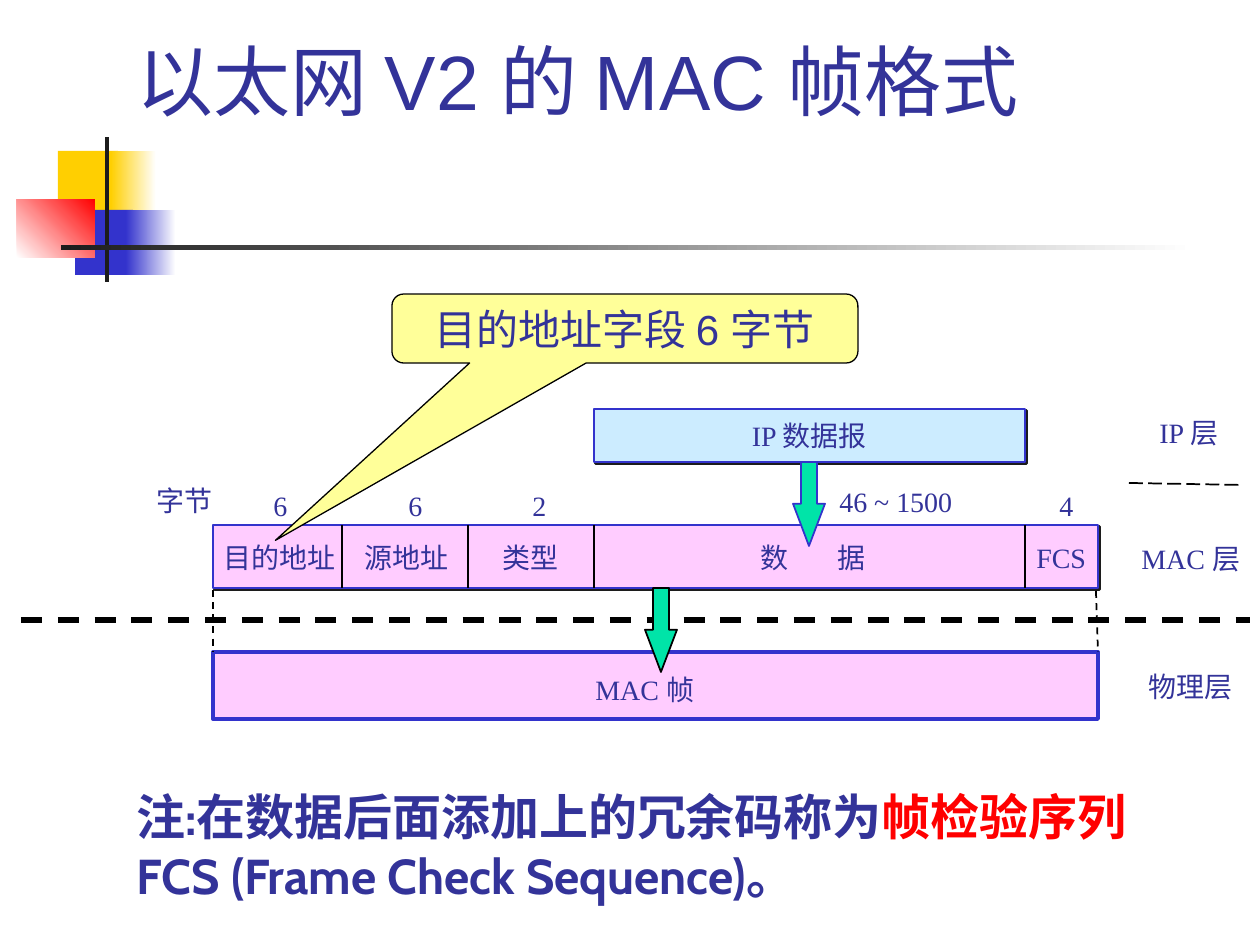
"""Build the slide on the Ethernet V2 MAC frame format."""
from lxml import etree
from pptx import Presentation
from pptx.dml.color import RGBColor
from pptx.enum.dml import MSO_LINE
from pptx.enum.shapes import MSO_CONNECTOR, MSO_SHAPE
from pptx.enum.text import MSO_ANCHOR, MSO_AUTO_SIZE, PP_ALIGN
from pptx.oxml import parse_xml
from pptx.oxml.ns import nsdecls, qn
from pptx.util import Pt

PX = 914400 / 126
C = {
    "text": "333399", "red": "FF0000", "white": "FFFFFF", "black": "000000",
    "gold": "FFCF01", "blue": "3333CC", "dark": "1C1C1C", "pink": "FFCCFF",
    "sky": "CCECFF", "green": "00E4A8", "yellow": "FFFF99",
}

prs = Presentation()
prs.slide_width, prs.slide_height = round(1260 * PX), round(945 * PX)
s = prs.slides.add_slide(prs.slide_layouts[6])


def add_box(kind, box, fill, line=None, width=1, angle=0):
    sp = s.shapes.add_shape(kind, *[round(v * PX) for v in box])
    sp.shadow.inherit = False
    if isinstance(fill, tuple):
        sp.fill.gradient()
        sp.fill.gradient_angle = angle
        for stop, name in zip(sp.fill.gradient_stops, fill):
            stop.color.rgb = RGBColor.from_string(C[name])
    else:
        sp.fill.solid()
        sp.fill.fore_color.rgb = RGBColor.from_string(C[fill])
    if line:
        sp.line.color.rgb = RGBColor.from_string(C[line])
        sp.line.width = Pt(width)
    else:
        sp.line.fill.background()
    return sp


def add_text(text, sp=None, box=None, size=16, font="Times New Roman", bold=False,
             align=PP_ALIGN.LEFT, anchor=MSO_ANCHOR.TOP, right=13, before=0):
    sp = sp or s.shapes.add_textbox(*[round(v * PX) for v in box])
    tf = sp.text_frame
    tf.word_wrap = True
    tf.auto_size = MSO_AUTO_SIZE.NONE
    tf.vertical_anchor = anchor
    tf.margin_right = round(right * PX)
    p = tf.paragraphs[0]
    p.alignment = align
    p.space_before = Pt(before)
    for part, color in [(text, "text")] if isinstance(text, str) else text:
        r = p.add_run()
        r.text = part
        r.font.size = Pt(size)
        r.font.name = font
        r.font.bold = bold
        r.font.color.rgb = RGBColor.from_string(C[color])
    return sp


for box, fill, angle in [
    ((58, 151, 60, 66), "gold", 0),
    ((111, 151, 45, 66), ("gold", "white"), 0),
    ((75, 210, 58, 65), "blue", 0),
    ((126, 210, 50, 65), ("blue", "white"), 0),
    ((17, 199, 78, 59), ("white", "red"), 45),
    ((105, 137, 4, 145), "dark", 0),
    ((61, 245, 1134, 5), ("dark", "white"), 0),
]:
    add_box(MSO_SHAPE.RECTANGLE, box, fill, angle=angle)

add_box(MSO_SHAPE.RECTANGLE, (213, 652, 885, 67), "pink", "blue", 2.25)
frame = add_box(MSO_SHAPE.RECTANGLE, (213, 525, 885, 63), "pink", "blue", 1.5)
packet = add_box(MSO_SHAPE.RECTANGLE, (594, 409, 431, 53), "sky", "blue", 1.5)
add_text("IP 数据报", packet, align=PP_ALIGN.CENTER, anchor=MSO_ANCHOR.MIDDLE)
for sp in (frame, packet):
    effects = sp._element.spPr.find(qn("a:effectLst"))
    effects.append(parse_xml(
        f'<a:outerShdw {nsdecls("a")} blurRad="0" dist="17780" dir="2700000" algn="ctr" '
        f'rotWithShape="0"><a:srgbClr val="{C["dark"]}"/></a:outerShdw>'))

dividers = [(x, 525, x, 588, 1, None) for x in (342, 468, 594, 1025)]
for x1, y1, x2, y2, width, dash in dividers + [
    (21, 620, 1250, 620, 3, MSO_LINE.DASH),
    (213, 590, 213, 652, 1, MSO_LINE.DASH),
    (1096, 591, 1098, 652, 1, MSO_LINE.DASH),
    (1129, 483, 1242, 485, 1, MSO_LINE.LONG_DASH),
]:
    ln = s.shapes.add_connector(
        MSO_CONNECTOR.STRAIGHT, *[round(v * PX) for v in (x1, y1, x2, y2)])
    ln.line.color.rgb = RGBColor.from_string(C["black"])
    ln.line.width = Pt(width)
    if dash:
        ln.line.dash_style = dash
    etree.SubElement(ln._element.spPr, qn("a:effectLst"))

for x, y, line in [(645, 588, "black"), (793, 462, "blue")]:
    arrow = add_box(MSO_SHAPE.DOWN_ARROW, (x, y, 32, 84), "green", line)
    arrow.adjustments[0], arrow.adjustments[1] = 0.5, 1.32

for text, x, y, w in [
    ("MAC 帧", 583, 666, 130), ("物理层", 1136, 663, 108),
    ("MAC 层", 1129, 535, 130), ("IP 层", 1147, 409, 92),
    ("目的地址", 211, 534, 137), ("源地址", 352, 534, 108),
    ("类型", 490, 534, 81), ("FCS", 1024, 534, 74),
    ("6", 261, 482, 39), ("6", 396, 482, 39), ("2", 520, 482, 39), ("4", 1047, 482, 39),
    ("字节", 144, 477, 81), ("46 ~ 1500", 827, 478, 137),
]:
    add_text(text, box=(x, y, w, 45), right=0)

data = add_text("数\t据", box=(748, 534, 131, 45), right=0)
pPr = data.text_frame.paragraphs[0]._p.get_or_add_pPr()
tabs = etree.SubElement(pPr, qn("a:tabLst"))
etree.SubElement(tabs, qn("a:tab"), pos=str(round(77 * PX)), algn="l")

add_text("以太网 V2 的 MAC 帧格式", box=(124, 26, 1074, 106), size=44, font="Arial",
         anchor=MSO_ANCHOR.BOTTOM)

callout = add_box(MSO_SHAPE.ROUNDED_RECTANGULAR_CALLOUT, (392, 294, 466, 69),
                  "yellow", "black", 0.75)
for i, value in enumerate((-0.75, 3.07, 0.17)):
    callout.adjustments[i] = value
add_text("目的地址字段 6 字节", callout, size=24, font="Arial", align=PP_ALIGN.CENTER)

add_text([("注:在数据后面添加上的冗余码称为", "text"), ("帧检验序列 ", "red"),
          ("FCS (Frame Check Sequence)。", "text")],
         box=(124, 780, 1052, 131), size=28, font="Cabin", bold=True, before=17.5)

prs.save("out.pptx")
